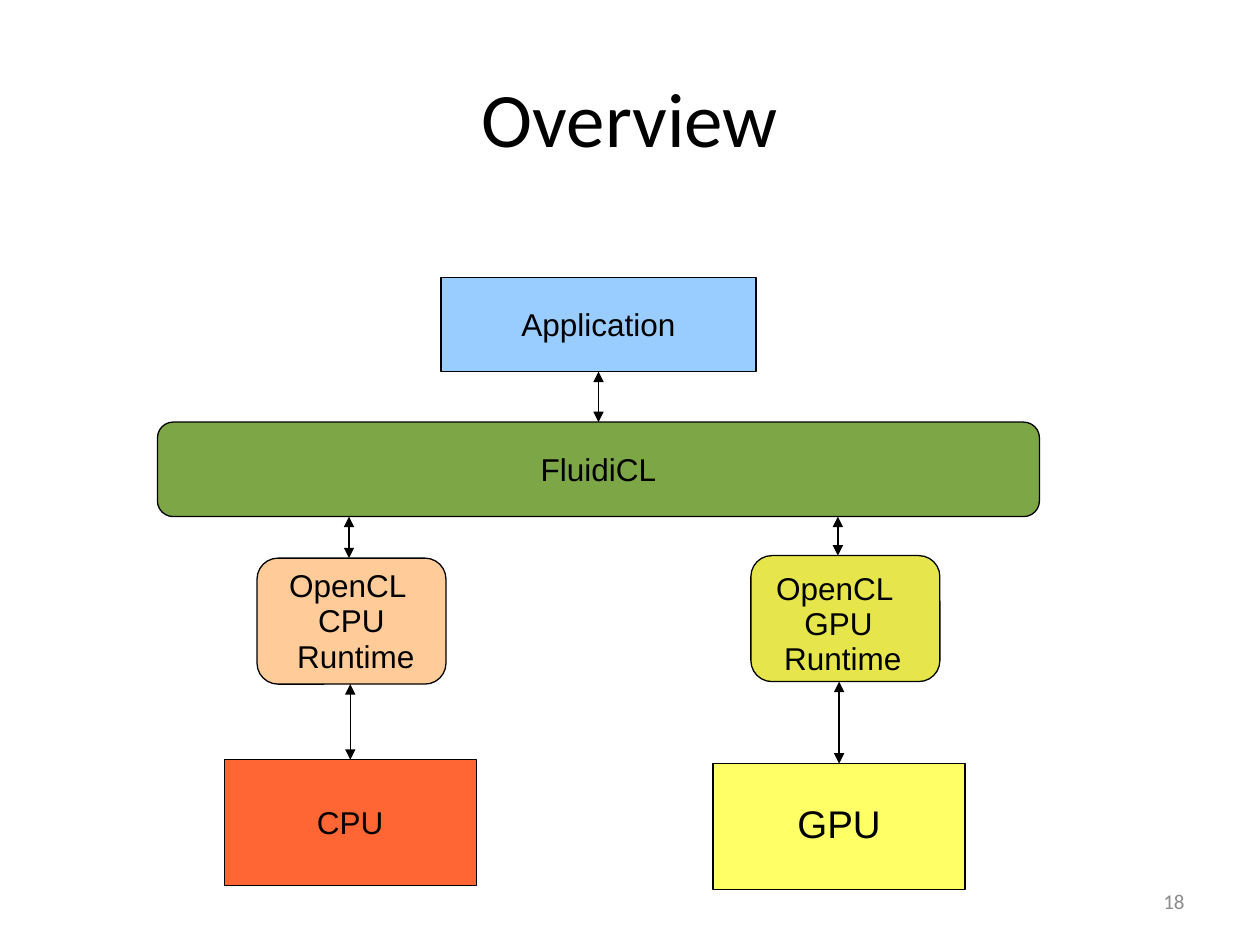
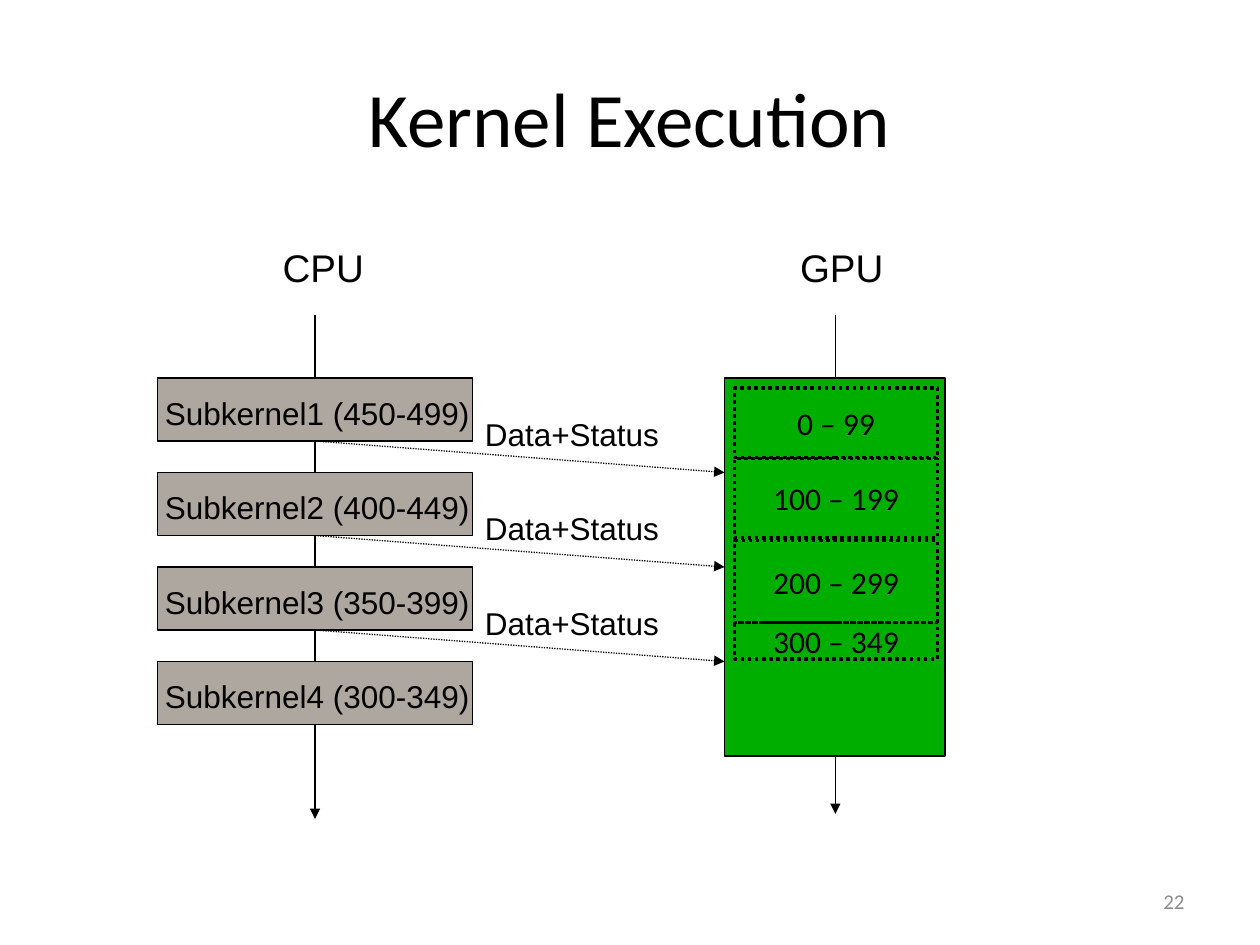
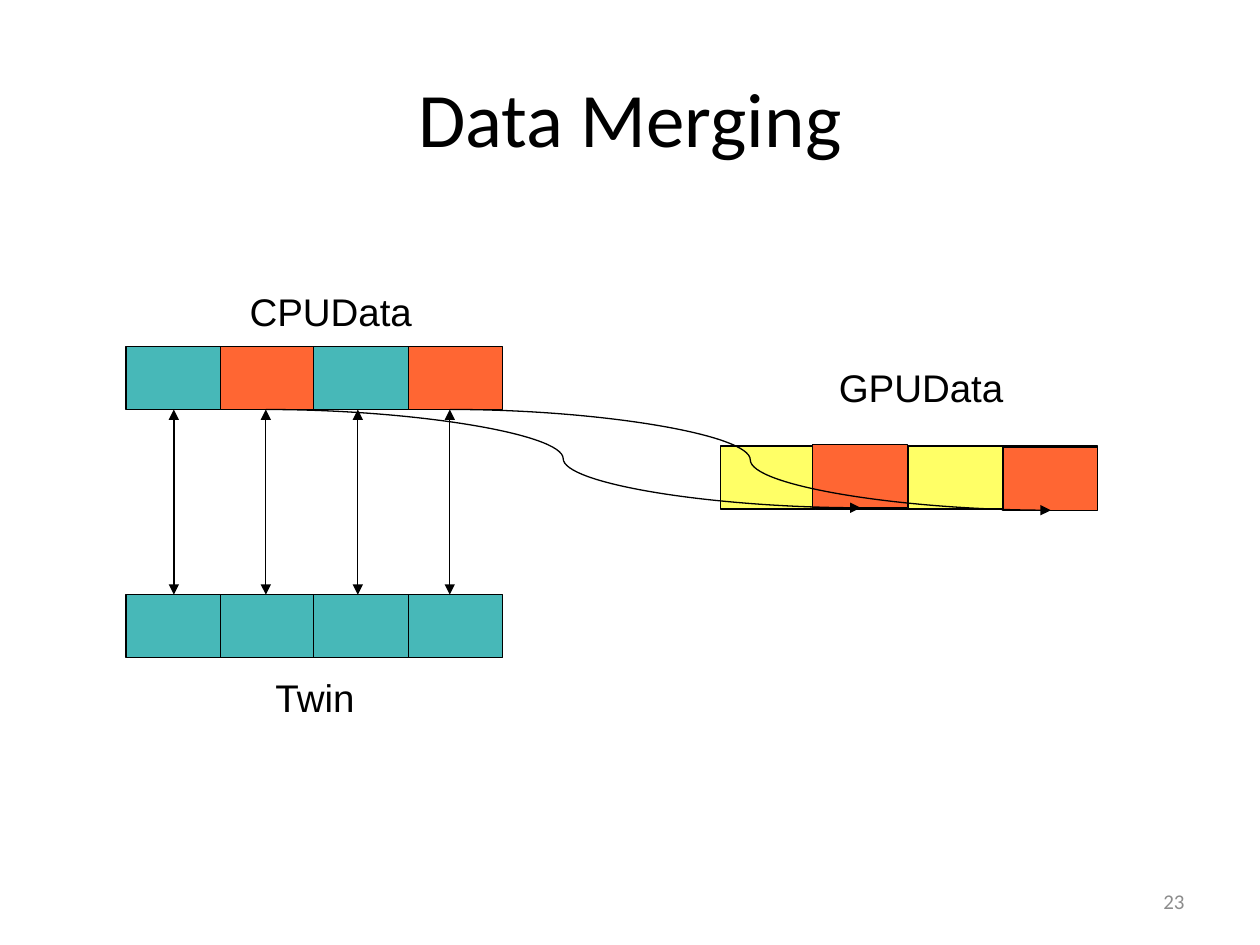
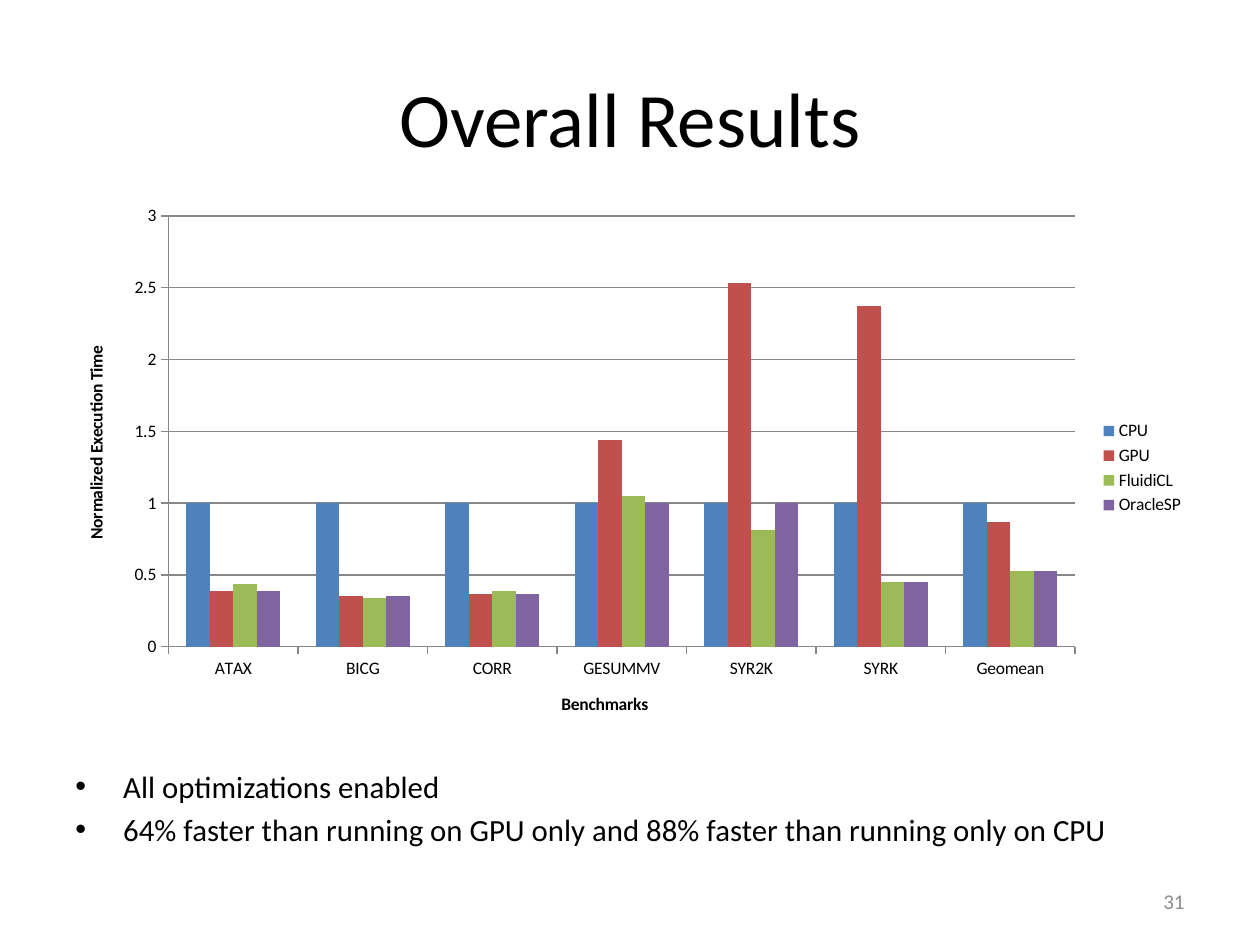
from pptx import Presentation
from pptx.chart.data import CategoryChartData
from pptx.dml.color import RGBColor
from pptx.enum.chart import XL_CHART_TYPE, XL_LEGEND_POSITION, XL_TICK_MARK
from pptx.enum.dml import MSO_LINE
from pptx.enum.shapes import MSO_CONNECTOR, MSO_SHAPE
from pptx.enum.text import MSO_ANCHOR, PP_ALIGN
from pptx.oxml.ns import qn
from pptx.util import Pt
from lxml import etree

EMU_PER_PX = 9144
RECT, ROUND = MSO_SHAPE.RECTANGLE, MSO_SHAPE.ROUNDED_RECTANGLE
STRAIGHT, CURVE = MSO_CONNECTOR.STRAIGHT, MSO_CONNECTOR.CURVE
LEFT, CENTER, RIGHT = PP_ALIGN.LEFT, PP_ALIGN.CENTER, PP_ALIGN.RIGHT
TOP, MIDDLE = MSO_ANCHOR.TOP, MSO_ANCHOR.MIDDLE
DOTTED = MSO_LINE.ROUND_DOT
COLUMNS = XL_CHART_TYPE.COLUMN_CLUSTERED
LEGEND_RIGHT = XL_LEGEND_POSITION.RIGHT
TICK_OUT, TICK_NONE = XL_TICK_MARK.OUTSIDE, XL_TICK_MARK.NONE

BLACK = RGBColor(0x00, 0x00, 0x00)
GRAY = RGBColor(0x8C, 0x8C, 0x8C)
AXIS_GRAY = RGBColor(0x87, 0x87, 0x87)
STONE = RGBColor(0xAE, 0xA7, 0x9F)
GREEN = RGBColor(0x00, 0xAE, 0x00)
MOSS = RGBColor(0x7D, 0xA6, 0x47)
SKY = RGBColor(0x99, 0xCC, 0xFF)
PEACH = RGBColor(0xFF, 0xCC, 0x99)
OLIVE = RGBColor(0xE6, 0xE6, 0x4C)
ORANGE = RGBColor(0xFF, 0x66, 0x33)
YELLOW = RGBColor(0xFF, 0xFF, 0x66)
TEAL = RGBColor(0x47, 0xB8, 0xB8)
BAR_BLUE = RGBColor(0x4F, 0x81, 0xBD)
BAR_RED = RGBColor(0xC0, 0x50, 0x4D)
BAR_GREEN = RGBColor(0x9B, 0xBB, 0x59)
BAR_PURPLE = RGBColor(0x80, 0x64, 0xA2)

TITLE = {"name": "Calibri", "size": Pt(44)}
BODY = {"name": "Calibri", "size": Pt(17.6)}
RANGE = {"name": "Calibri", "size": Pt(18)}
NUMBER = {"name": "Calibri", "size": Pt(12)}
DIAGRAM = {"name": "Arial", "size": Pt(18)}
HEADING = {"name": "Arial", "size": Pt(22)}
CHART = {"name": "Calibri", "size": Pt(10), "bold": False}
AXIS_TITLE = {"name": "Calibri", "size": Pt(10), "bold": True}


def px(*values):
    return [round(v * EMU_PER_PX) for v in values]


def set_font(font, fmt, color=BLACK):
    for key, value in fmt.items():
        setattr(font, key, value)
    font.color.rgb = color


def write_text(tf, text, fmt, align=CENTER, anchor=MIDDLE, wrap=True, color=BLACK):
    frame = {"word_wrap": wrap, "vertical_anchor": anchor}
    arial = fmt["name"] == "Arial"
    if arial:
        frame["margin_top"] = px(7)[0]
    for key, value in frame.items():
        setattr(tf, key, value)
    for i, line in enumerate(text.split("\n")):
        p = tf.paragraphs[0] if i == 0 else tf.add_paragraph()
        p.alignment = align
        if arial:
            p.line_spacing = 0.93
        r = p.add_run()
        r.text = line
        set_font(r.font, fmt, color)


def add_label(s, box, text, fmt=DIAGRAM, align=CENTER, anchor=TOP, color=BLACK):
    tb = s.shapes.add_textbox(*px(*box))
    write_text(tb.text_frame, text, fmt, align, anchor, color=color)
    return tb.text_frame


def add_box(s, box, fill=None, text="", kind=RECT, fmt=DIAGRAM, wrap=False, width=0.75, dash=None):
    sp = s.shapes.add_shape(kind, *px(*box))
    sp.shadow.inherit = False
    if fill is None:
        sp.fill.background()
    else:
        sp.fill.solid()
        sp.fill.fore_color.rgb = fill
    sp.line.color.rgb = BLACK
    sp.line.width = Pt(width)
    sp.line.dash_style = dash
    if text:
        write_text(sp.text_frame, text, fmt, wrap=wrap)


def add_line(s, start, end, ends=("tailEnd",), kind=STRAIGHT, dash=None):
    cx = s.shapes.add_connector(kind, *px(*start, *end))
    cx.line.color.rgb = BLACK
    cx.line.width = Pt(0.75)
    cx.line.dash_style = dash
    spPr = cx._element.spPr
    for tag in ends:
        etree.SubElement(spPr.find(qn("a:ln")), qn(f"a:{tag}"), type="triangle")
    etree.SubElement(spPr, qn("a:effectLst"))


def add_double_arrow(s, start, end):
    add_line(s, start, end, ("headEnd", "tailEnd"))


def new_slide(prs, title, number):
    s = prs.slides.add_slide(prs.slide_layouts[6])
    add_label(s, (50, 30, 900, 125), title, TITLE, anchor=MIDDLE)
    add_label(s, (717, 695, 233, 40), str(number), NUMBER, RIGHT, MIDDLE, color=GRAY)
    return s


def draw_stack(s, x, y, runtime, device, runtime_text="", device_text=""):
    dx, dy, runtime_fill = runtime
    device_dy, device_fill = device
    add_box(s, (x + dx, y + dy, 150, 100), runtime_fill, runtime_text, ROUND)
    add_box(s, (x, y + device_dy, 200, 100), device_fill, device_text)
    add_double_arrow(s, (x + 99, y), (x + 99, y + dy))
    add_double_arrow(s, (x + 100, y + dy + 100), (x + 100, y + device_dy))


def draw_overview(s, x, y):
    add_box(s, (x, y + 115, 700, 75), MOSS, "FluidiCL", ROUND)
    add_box(s, (x + 225, y, 250, 75), SKY, "Application")
    add_double_arrow(s, (x + 350, y + 75), (x + 350, y + 115))
    bottom = y + 190
    draw_stack(s, x + 53, bottom, (26, 33, PEACH), (193, ORANGE), "OpenCL \nCPU\n Runtime", "CPU")
    draw_stack(s, x + 441, bottom, (30, 31, OLIVE), (196, YELLOW))
    add_label(s, (x + 475, bottom + 37, 131, 94), "OpenCL \nGPU\n Runtime")
    add_label(s, (x + 491, bottom + 221, 100, 44), "GPU", HEADING)


def draw_lane(s, x, y, heading, heading_box, out_y, end_y):
    dx, w = heading_box
    add_label(s, (x + dx, y - 60, w, 44), heading, HEADING)
    add_line(s, (x, y), (x, y + 50), ())
    add_line(s, (x, y + out_y), (x, y + end_y))


def draw_subkernels(s, x, y, target_x, pitch=75):
    draw_lane(s, x + 125, y - 50, "CPU", (-56, 125), 100, 400)
    for i in range(3):
        bottom = y + i * pitch + 50
        add_line(s, (x + 125, bottom), (target_x, bottom + 25), dash=DOTTED)
        add_label(s, (x + 250, bottom - 25, 200, 38), "Data+Status", align=LEFT)
    for i in range(4):
        top, first = y + i * pitch, 450 - 50 * i
        add_box(s, (x, top, 250, 50), STONE)
        add_label(s, (x - 4, top + 8, 265, 38), f"Subkernel{i + 1} ({first}-{first + 49})", align=LEFT)


def draw_gpu_kernel(s, x, y):
    draw_lane(s, x + 88, y - 50, "GPU", (-45, 100), 350, 396)
    add_box(s, (x, y, 175, 300), GREEN)
    ranges = [("0 – 99", 8, 55), ("100 – 199", 64, 63), ("200 – 299", 129, 65), ("300 – 349", 194, 29)]
    for text, dy, h in ranges:
        add_box(s, (x + 8, y + dy, 161, h), None, text, fmt=RANGE, wrap=True, width=2, dash=DOTTED)


def draw_cells(s, x, y, fills):
    for i, fill in enumerate(fills):
        add_box(s, (x + round(74.7 * i), y, 75, 50), fill)


def draw_merging(s, x, y):
    twin_y = y + 197
    gpu_x, gpu_y = x + 472, y + 79
    draw_cells(s, x, y, [TEAL, ORANGE] * 2)
    draw_cells(s, x, twin_y, [TEAL] * 4)
    draw_cells(s, gpu_x, gpu_y, [YELLOW, TEAL] * 2)
    add_label(s, (x, y - 50, 325, 44), "CPUData", HEADING)
    add_label(s, (x + 75, twin_y + 59, 150, 44), "Twin", HEADING)
    add_label(s, (gpu_x + 75, gpu_y - 69, 168, 44), "GPUData", HEADING)
    centers = [x + 38 + 73 * i for i in range(4)]
    for cx in centers:
        add_double_arrow(s, (cx, y + 50), (cx, twin_y))
    merged = [(gpu_x + 73, gpu_y - 1), (gpu_x + 224, gpu_y + 1)]
    for left, top in merged:
        add_box(s, (left, top, 75, 50), ORANGE)
    for cx, (left, top) in zip(centers[1::2], merged):
        add_line(s, (cx, y + 50), (left + 38, top + 50), kind=CURVE)


def draw_chart(s, box):
    data = CategoryChartData()
    data.categories = ["ATAX", "BICG", "CORR", "GESUMMV", "SYR2K", "SYRK", "Geomean"]
    series = [
        ("CPU", BAR_BLUE, [1] * 7),
        ("GPU", BAR_RED, [0.39, 0.35, 0.37, 1.44, 2.53, 2.37, 0.87]),
        ("FluidiCL", BAR_GREEN, [0.44, 0.34, 0.39, 1.05, 0.81, 0.45, 0.53]),
        ("OracleSP", BAR_PURPLE, [0.39, 0.35, 0.37, 1, 1, 0.45, 0.53]),
    ]
    for name, _, values in series:
        data.add_series(name, values)
    chart = s.shapes.add_chart(COLUMNS, *px(*box), data).chart
    set_font(chart.font, CHART)
    chart.has_title = False
    chart.has_legend = True
    chart.legend.position = LEGEND_RIGHT
    chart.legend.include_in_layout = False
    plot = chart.plots[0]
    for key, value in {"gap_width": 150, "overlap": 0, "vary_by_categories": False}.items():
        setattr(plot, key, value)
    for bars, (_, color, _) in zip(plot.series, series):
        bars.format.fill.solid()
        bars.format.fill.fore_color.rgb = color
    value_axis = chart.value_axis
    scale = {"minimum_scale": 0, "maximum_scale": 3, "major_unit": 0.5, "has_major_gridlines": True}
    for key, value in scale.items():
        setattr(value_axis, key, value)
    value_axis.major_gridlines.format.line.color.rgb = AXIS_GRAY
    value_axis.tick_labels.number_format = "General"
    value_axis.tick_labels.number_format_is_linked = False
    titles = [(chart.category_axis, "Benchmarks"), (value_axis, "Normalized Execution Time")]
    for axis, text in titles:
        axis.major_tick_mark = TICK_OUT
        axis.minor_tick_mark = TICK_NONE
        axis.format.line.color.rgb = AXIS_GRAY
        r = axis.axis_title.text_frame.paragraphs[0].add_run()
        r.text = text
        set_font(r.font, AXIS_TITLE)


def draw_bullets(s, box, lines):
    tf = add_label(s, box, "\n".join(lines), BODY, LEFT)
    indent = px(38)[0]
    for p in tf.paragraphs:
        p.space_before = Pt(3.5)
        pPr = p._p.get_or_add_pPr()
        pPr.set("marL", str(indent))
        pPr.set("indent", str(-indent))
        etree.SubElement(pPr, qn("a:buFont"), typeface="Arial")
        etree.SubElement(pPr, qn("a:buChar"), char="•")


def main():
    prs = Presentation()
    prs.slide_width, prs.slide_height = px(1000, 750)

    draw_overview(new_slide(prs, "Overview", 18), 125, 220)

    s = new_slide(prs, "Kernel Execution", 22)
    draw_subkernels(s, 125, 300, 575)
    draw_gpu_kernel(s, 575, 300)

    draw_merging(new_slide(prs, "Data Merging", 23), 100, 275)

    s = new_slide(prs, "Overall Results", 31)
    draw_chart(s, (47, 155, 903, 433))
    draw_bullets(s, (50, 604, 900, 67), [
        "All optimizations enabled",
        "64% faster than running on GPU only and 88% faster than running only on CPU",
    ])

    prs.save("out.pptx")


if __name__ == "__main__":
    main()
